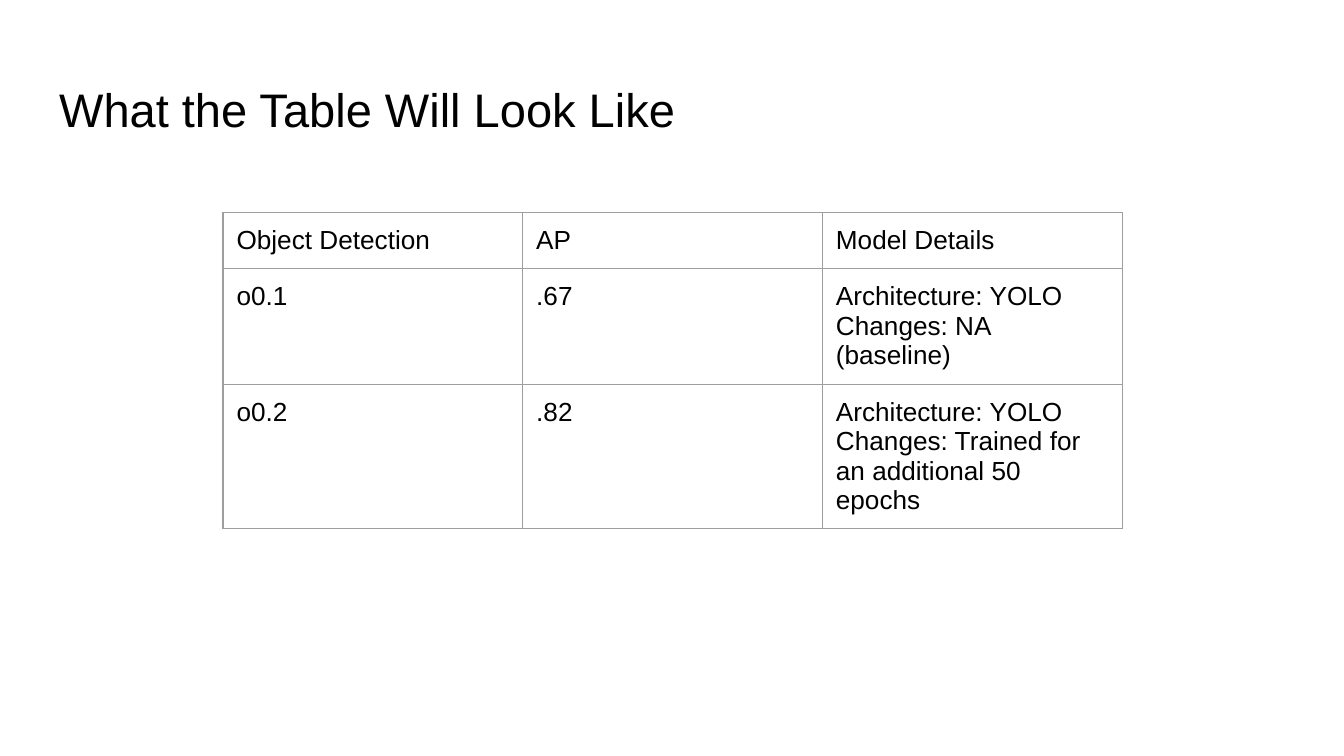
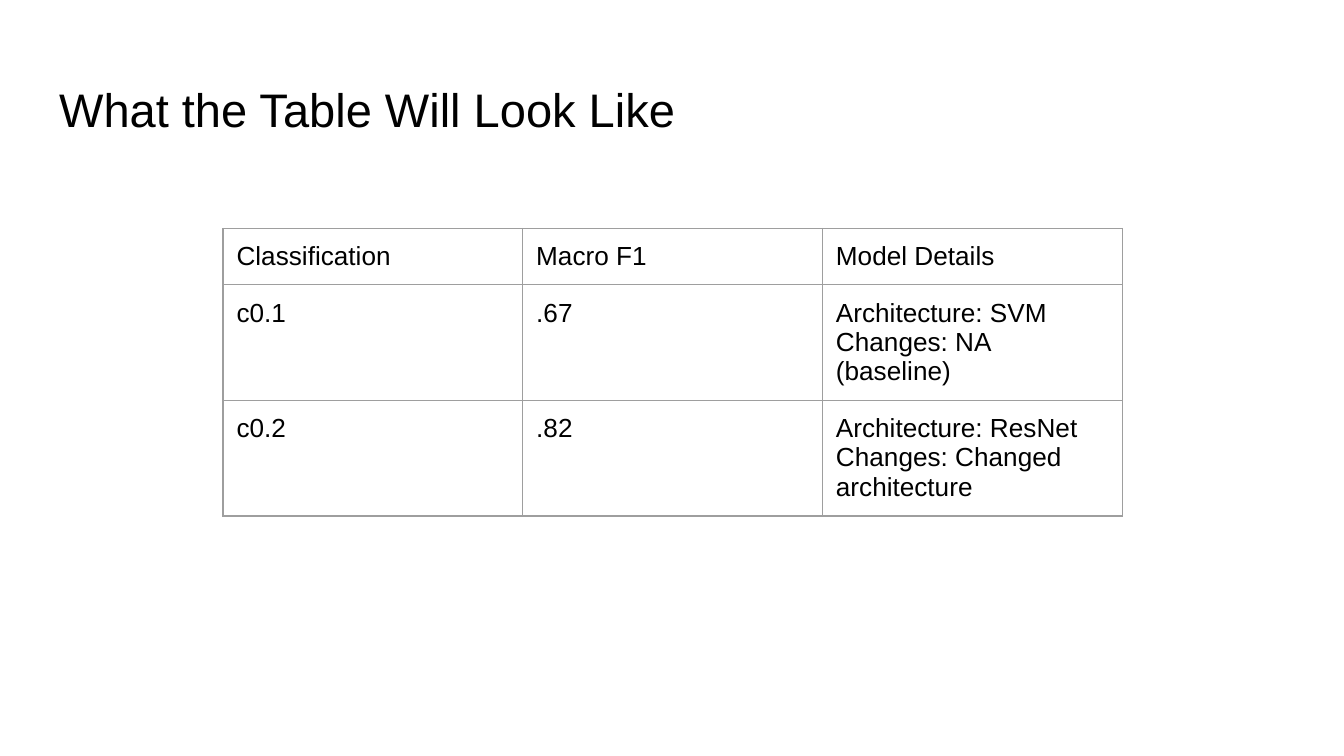
from lxml.etree import SubElement
from pptx import Presentation
from pptx.dml.color import RGBColor
from pptx.enum.text import MSO_ANCHOR, MSO_AUTO_SIZE, PP_ALIGN
from pptx.oxml.ns import qn
from pptx.util import Inches, Pt

COLORS = {"background": "FFFFFF", "text": "000000", "border": "9E9E9E"}
TITLE = "What the Table Will Look Like"
MARGINS = ("margin_left", "margin_top", "margin_right", "margin_bottom")
TABLES = [
    (15.8, [
        ["Object Detection", "AP", "Model Details"],
        ["o0.1", ".67", "Architecture: YOLO Changes: NA (baseline)"],
        ["o0.2", ".82", "Architecture: YOLO\nChanges: Trained for an additional 50 epochs"],
    ]),
    (17, [
        ["Classification", "Macro F1", "Model Details"],
        ["c0.1", ".67", "Architecture: SVM\nChanges: NA (baseline)"],
        ["c0.2", ".82", "Architecture: ResNet\nChanges: Changed architecture"],
    ]),
]


class Deck:
    """Hold the shared style and the current slide, on a grid 100 units wide."""

    font = "Arial"
    title_size = 25.2
    cell_size = 14
    border_width = 0.75
    column_width = 22.3
    row_heights = (4.2, 8.6, 8.6)

    def __init__(self):
        self.presentation = Presentation()
        self.presentation.slide_width = Inches(10)
        self.presentation.slide_height = Inches(10 * 9 / 16)
        self.slide = None

    def grid(self, units):
        return round(self.presentation.slide_width * units / 100)

    def add_slide(self):
        self.slide = self.presentation.slides.add_slide(self.presentation.slide_layouts[5])
        fill = self.slide.background.fill
        fill.solid()
        fill.fore_color.rgb = RGBColor.from_string(COLORS["background"])

    def set_margins(self, holder):
        for margin in MARGINS:
            setattr(holder, margin, self.grid(1))

    def add_text(self, frame, text, size):
        for index, line in enumerate(text.split("\n")):
            paragraph = frame.add_paragraph() if index else frame.paragraphs[0]
            paragraph.alignment = PP_ALIGN.LEFT
            run = paragraph.add_run()
            run.text = line
            run.font.name = self.font
            run.font.size = Pt(size)
            run.font.bold = False
            run.font.color.rgb = RGBColor.from_string(COLORS["text"])

    def add_title(self, text):
        shape = self.slide.shapes.title
        shape.left, shape.top, shape.width, shape.height = map(self.grid, (3.4, 4.9, 93.2, 6.3))
        frame = shape.text_frame
        frame.word_wrap = True
        frame.auto_size = MSO_AUTO_SIZE.NONE
        frame.vertical_anchor = MSO_ANCHOR.BOTTOM
        self.set_margins(frame)
        self.add_text(frame, text, self.title_size)

    def add_borders(self, cell):
        properties = cell._tc.get_or_add_tcPr()
        for side in ("a:lnL", "a:lnR", "a:lnT", "a:lnB"):
            line = SubElement(properties, qn(side), w=str(Pt(self.border_width)))
            fill = SubElement(line, qn("a:solidFill"))
            SubElement(fill, qn("a:srgbClr"), val=COLORS["border"])

    def add_table(self, top, rows):
        columns = len(rows[0])
        table = self.slide.shapes.add_table(
            len(rows), columns, self.grid(16.6), self.grid(top),
            self.grid(self.column_width * columns), self.grid(sum(self.row_heights)),
        ).table
        table.first_row = table.horz_banding = False
        for column in table.columns:
            column.width = self.grid(self.column_width)
        for row, height, texts in zip(table.rows, self.row_heights, rows):
            row.height = self.grid(height)
            for cell, text in zip(row.cells, texts):
                self.set_margins(cell)
                cell.vertical_anchor = MSO_ANCHOR.TOP
                self.add_borders(cell)
                cell.fill.background()
                self.add_text(cell.text_frame, text, self.cell_size)


def main():
    deck = Deck()
    for top, rows in TABLES:
        deck.add_slide()
        deck.add_title(TITLE)
        deck.add_table(top, rows)
    deck.presentation.save("out.pptx")


if __name__ == "__main__":
    main()
